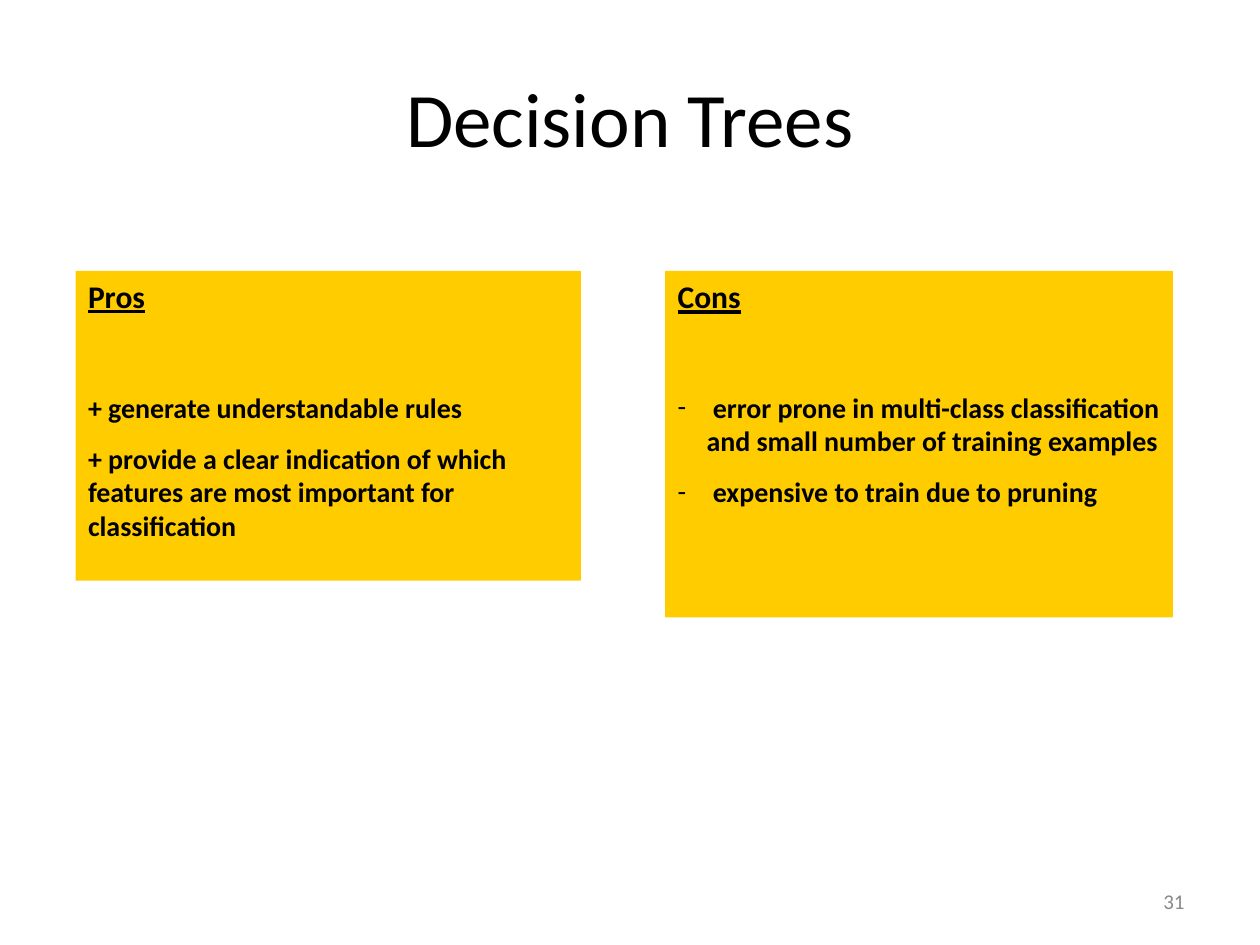
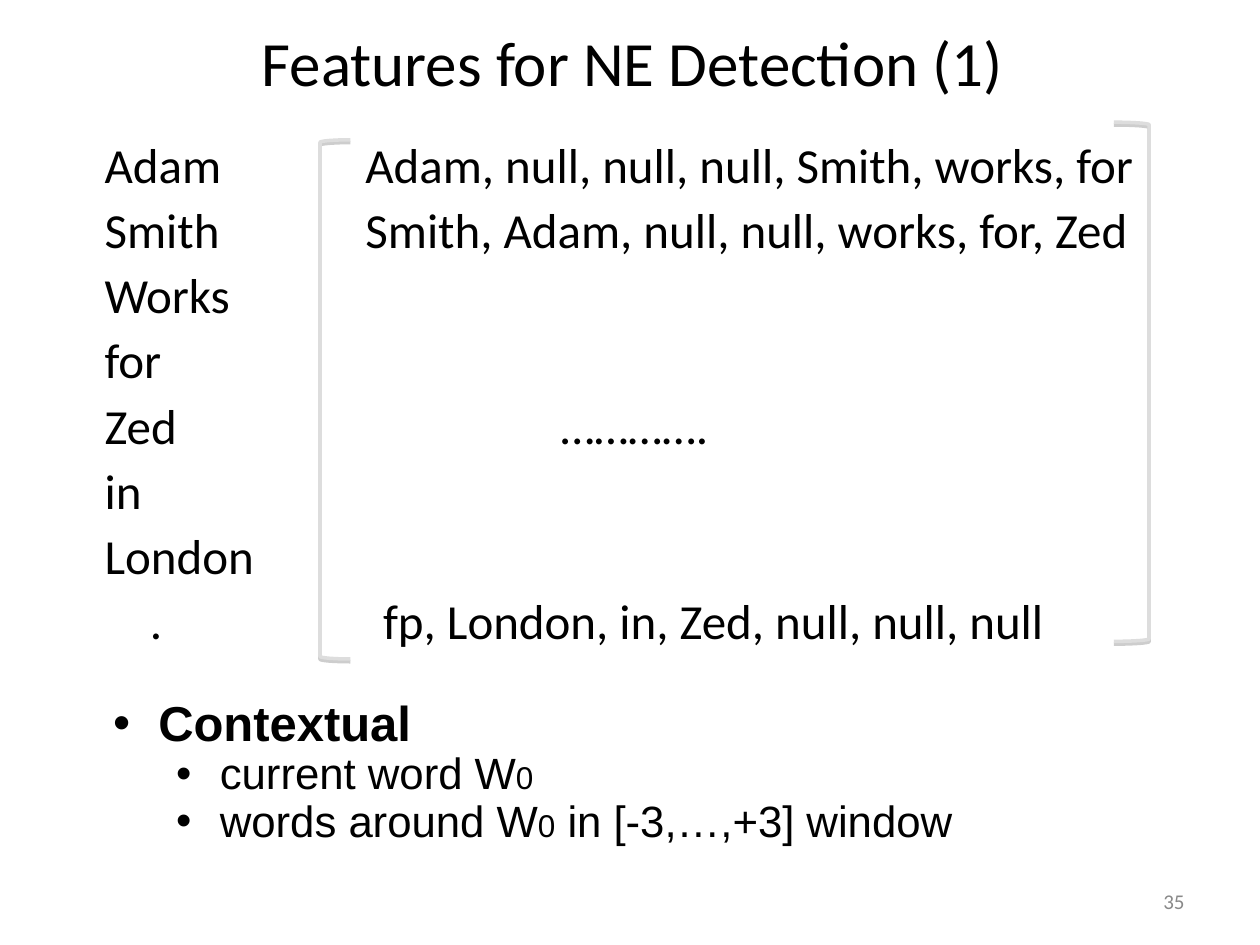
from math import cos, pi, sin

from lxml.etree import SubElement
from pptx import Presentation
from pptx.dml.color import RGBColor
from pptx.enum.shapes import MSO_SHAPE as Preset
from pptx.enum.text import MSO_ANCHOR as Anchor, PP_ALIGN as Align
from pptx.oxml.ns import qn
from pptx.util import Inches, Pt

BLACK = RGBColor(0x00, 0x00, 0x00)
WHITE = RGBColor(0xFF, 0xFF, 0xFF)
GOLD = RGBColor(0xFF, 0xCC, 0x00)
GRAY = RGBColor(0x89, 0x89, 0x89)
BRACKET_GRAY = RGBColor(0xDD, 0xDD, 0xDD)
SHADOW_GRAY = RGBColor(0x80, 0x80, 0x80)

BODY_FONT = "Calibri"
OUTLINE_FONT = "Arial"
HEADING = {"size": Pt(18), "bold": True, "underline": True}
POINT = {"size": Pt(16), "bold": True}
FEATURE = {"size": Pt(28)}
TOPIC = {"name": OUTLINE_FONT, "size": Pt(28), "bold": True}
DETAIL = {"name": OUTLINE_FONT, "size": Pt(25)}
SUBSCRIPT = {"name": OUTLINE_FONT, "size": Pt(18)}

PROS = [
    "+ generate understandable rules",
    "+ provide a clear indication of which features are most important for classification",
]
CONS = [
    " error prone in multi-class classification and small number of training examples",
    " expensive to train due to pruning",
]
FEATURE_ROWS = [
    ("Adam\tAdam, null, null, null, Smith, works, for", [2.07]),
    ("Smith\tSmith, Adam, null, null, works, for, Zed", [2.07]),
    ("Works", []),
    ("for", []),
    ("Zed\t………….", [3.62]),
    ("in", []),
    ("London", []),
    ("\t.\tfp, London, in, Zed, null, null, null", [0.36, 2.21]),
]
OUTLINE = [
    (0.5, [(" Contextual", TOPIC)]),
    (1, [(" current word W", DETAIL), ("0", SUBSCRIPT)]),
    (1, [(" words around W", DETAIL), ("0", SUBSCRIPT), (" in [-3,…,+3] window", DETAIL)]),
]


def set_values(target, values):
    for name, value in values.items():
        setattr(target, name, value)


def add_slide(presentation):
    slide = presentation.slides.add_slide(presentation.slide_layouts[6])
    slide.background.fill.solid()
    slide.background.fill.fore_color.rgb = WHITE
    return slide


def add_text_box(slide, left, top, width, height, anchor=Anchor.TOP):
    box = slide.shapes.add_textbox(*map(Inches, (left, top, width, height)))
    set_values(box.text_frame, {"word_wrap": True, "vertical_anchor": anchor})
    return box.text_frame


def add_paragraph(frame, runs, color=BLACK, **layout):
    first = frame.paragraphs[0]
    paragraph = frame.add_paragraph() if first.runs else first
    set_values(paragraph, {"alignment": Align.LEFT, **layout})
    for text, style in runs:
        run = paragraph.add_run()
        run.text = text
        set_values(run.font, {"name": BODY_FONT, **style})
        run.font.color.rgb = color
    return paragraph


def add_bullet(paragraph, character, font, margin, hanging):
    properties = paragraph._p.get_or_add_pPr()
    properties.set("marL", str(Inches(margin)))
    properties.set("indent", str(-Inches(hanging)))
    color = SubElement(properties, qn("a:buClr"))
    SubElement(color, qn("a:srgbClr"), val=str(BLACK))
    SubElement(properties, qn("a:buFont"), typeface=font)
    SubElement(properties, qn("a:buChar"), char=character)


def add_tab_stops(paragraph, stops):
    tabs = SubElement(paragraph._p.get_or_add_pPr(), qn("a:tabLst"))
    for stop in stops:
        SubElement(tabs, qn("a:tab"), pos=str(Inches(stop)), algn="l")


def add_title(slide, text, left, top, width, size):
    frame = add_text_box(slide, left, top, width, 1.25, Anchor.MIDDLE)
    add_paragraph(frame, [(text, {"size": Pt(size)})], alignment=Align.CENTER)


def add_slide_number(slide, number):
    frame = add_text_box(slide, 7.17, 6.95, 2.33, 0.4, Anchor.MIDDLE)
    add_paragraph(frame, [(str(number), {"size": Pt(12)})], GRAY, alignment=Align.RIGHT)


def add_card(slide, heading, points, left, width, height, bullet=None):
    card = slide.shapes.add_shape(Preset.RECTANGLE, *map(Inches, (left, 2.15, width, height)))
    card.shadow.inherit = False
    card.fill.solid()
    card.fill.fore_color.rgb = GOLD
    card.line.fill.background()
    frame = card.text_frame
    set_values(frame, {"word_wrap": True, "vertical_anchor": Anchor.TOP})
    add_paragraph(frame, [(heading, HEADING)])
    for index, point in enumerate(points):
        gap = Pt(10) if index else Pt(43)
        paragraph = add_paragraph(frame, [(point, POINT)], space_before=gap)
        if bullet:
            add_bullet(paragraph, bullet, BODY_FONT, 0.23, 0.23)


def add_bracket(slide, tip, spine, top, height):
    curve = 0.02
    angles = [step * pi / 16 for step in range(9)]
    upper = [(tip + (spine - tip) * sin(a), top + curve * (1 - cos(a))) for a in angles]
    lower = [(x, 2 * top + height - y) for x, y in reversed(upper)]
    points = [(Inches(x), Inches(y)) for x, y in upper + lower]
    builder = slide.shapes.build_freeform(*points[0])
    builder.add_line_segments(points[1:], close=False)
    bracket = builder.convert_to_shape()
    bracket.shadow.inherit = False
    bracket.fill.background()
    bracket.line.color.rgb = BRACKET_GRAY
    bracket.line.width = Pt(2)
    effects = bracket._element.spPr.find(qn("a:effectLst"))
    shadow = SubElement(effects, qn("a:outerShdw"), blurRad="0", dist=str(Pt(1.6)),
                        dir="5400000", rotWithShape="0")
    color = SubElement(shadow, qn("a:srgbClr"), val=str(SHADOW_GRAY))
    SubElement(color, qn("a:alpha"), val="38000")


def add_feature_rows(slide):
    frame = add_text_box(slide, 0.23, 1.07, 9.59, 6.21)
    frame.margin_left = Inches(0.6)
    for text, stops in FEATURE_ROWS:
        paragraph = add_paragraph(frame, [(text, FEATURE)], line_spacing=0.9, space_before=Pt(7))
        if stops:
            add_tab_stops(paragraph, stops)


def add_outline(slide):
    frame = add_text_box(slide, 0.55, 5.5, 8.29, 1.65)
    for margin, runs in OUTLINE:
        paragraph = add_paragraph(frame, runs, line_spacing=0.9)
        add_bullet(paragraph, "•", OUTLINE_FONT, margin, 0.25)


def build_decision_trees(presentation):
    slide = add_slide(presentation)
    add_title(slide, "Decision Trees", 0.5, 0.3, 9, 44)
    add_slide_number(slide, 31)
    add_card(slide, "Pros", PROS, 0.6, 4.01, 2.46)
    add_card(slide, "Cons", CONS, 5.28, 4.03, 2.75, "-")


def build_features(presentation):
    slide = add_slide(presentation)
    add_title(slide, "Features for NE Detection (1)", 0.55, -0.14, 8.94, 36)
    add_feature_rows(slide)
    add_slide_number(slide, 35)
    add_bracket(slide, 2.78, 2.54, 1.11, 4.12)
    add_bracket(slide, 8.84, 9.12, 0.97, 4.12)
    add_outline(slide)


def main():
    presentation = Presentation()
    set_values(presentation, {"slide_width": Inches(10), "slide_height": Inches(7.5)})
    build_decision_trees(presentation)
    build_features(presentation)
    presentation.save("out.pptx")


if __name__ == "__main__":
    main()
